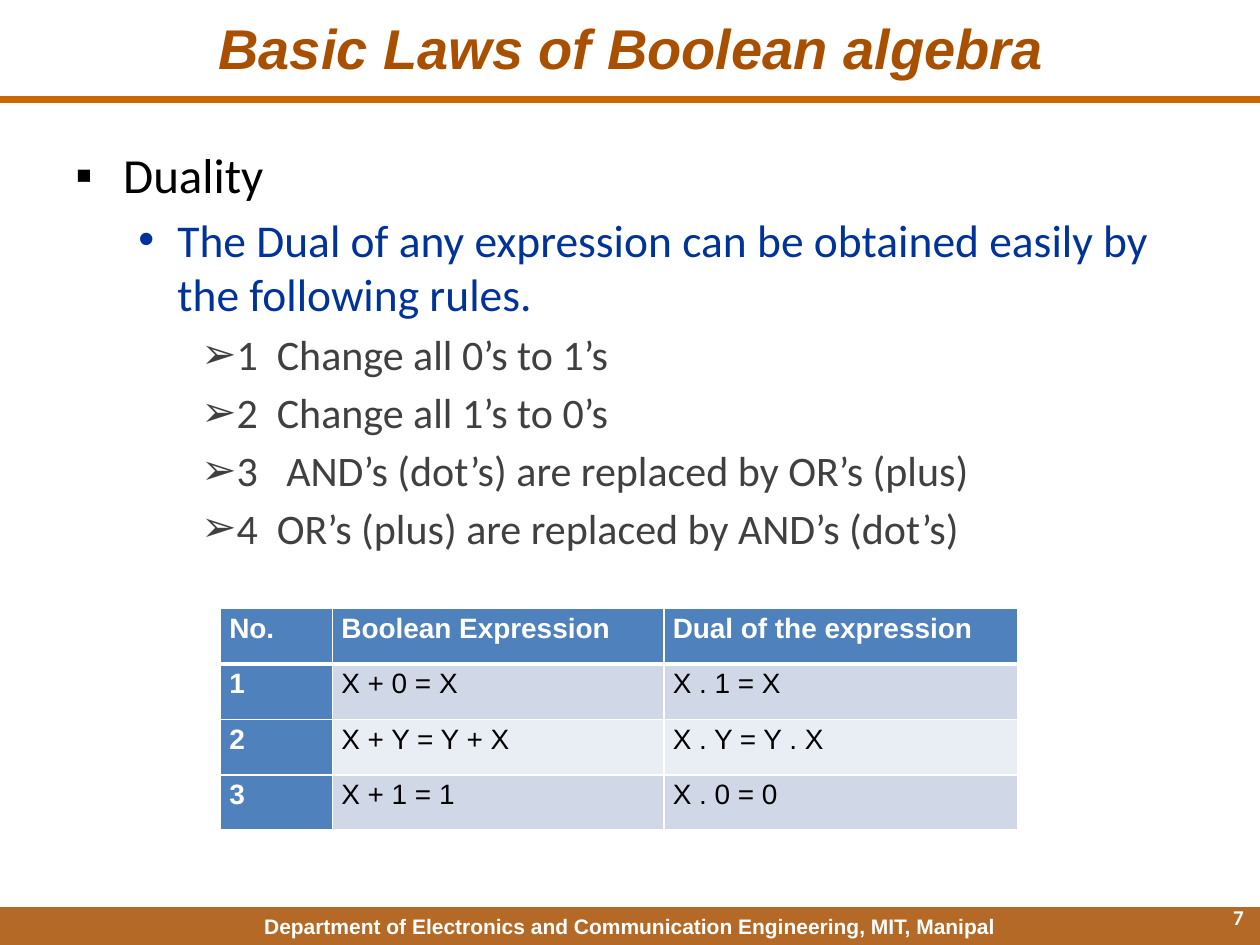
from lxml import etree
from pptx import Presentation
from pptx import util as u
from pptx.dml.color import RGBColor
from pptx.enum import shapes, text
from pptx.oxml.ns import qn

COLORS = {
    "rust": "A85000", "orange": "CC6600", "white": "FFFFFF", "black": "000000",
    "navy": "003399", "gray": "404040", "blue": "4F81BD",
    "band_dark": "D0D8E8", "band_light": "E9EDF4",
}
COLUMNS, ROWS = 100, 75

# size, colour, bullet, left margin and hanging indent in columns
LEVELS = [
    (28, "black", "▪", 3.8, 3.8),
    (26, "navy", "•", 8.1, 3.1),
    (24, "gray", "➢", 12.5, 2.5),
]
OUTLINE = [
    (0, "Duality"),
    (1, "The Dual of any expression can be obtained easily by the following rules."),
    (2, "1  Change all 0’s to 1’s"),
    (2, "2  Change all 1’s to 0’s"),
    (2, "3   AND’s (dot’s) are replaced by OR’s (plus)"),
    (2, "4  OR’s (plus) are replaced by AND’s (dot’s)"),
]
DUALS = [
    ("No.", "Boolean Expression", "Dual of the expression"),
    ("1", "X + 0 = X", "X . 1 = X"),
    ("2", "X + Y = Y + X", "X . Y = Y . X"),
    ("3", "X + 1 = 1", "X . 0 = 0"),
]


def rgb(name):
    return RGBColor.from_string(COLORS[name])


class SlideBuilder:
    """Places styled elements on a grid of COLUMNS by ROWS."""

    def __init__(self, deck):
        self.page = deck.slides.add_slide(deck.slide_layouts[5])
        self.column = deck.slide_width / COLUMNS
        self.row = deck.slide_height / ROWS

    def area(self, left, top, width, height):
        return (round(left * self.column), round(top * self.row),
                round(width * self.column), round(height * self.row))

    def style(self, para, size, color, font="Arial", bold=False, italic=False):
        for span in para.runs:
            span.font.name, span.font.size = font, u.Pt(size)
            span.font.bold, span.font.italic = bold, italic
            span.font.color.rgb = rgb(color)

    def title(self, words, *place):
        box = self.page.shapes.title
        box.left, box.top, box.width, box.height = self.area(*place)
        box.text_frame.text = words
        box.text_frame.vertical_anchor = text.MSO_ANCHOR.MIDDLE
        para = box.text_frame.paragraphs[0]
        para.alignment = text.PP_ALIGN.CENTER
        self.style(para, 32, "rust", bold=True, italic=True)

    def bar(self, color, opacity, *place):
        shape = self.page.shapes.add_shape(shapes.MSO_SHAPE.RECTANGLE, *self.area(*place))
        shape.shadow.inherit = False
        shape.fill.solid()
        shape.fill.fore_color.rgb = rgb(color)
        shape.line.fill.background()
        tint = shape.fill._xPr.find(qn("a:solidFill"))[0]
        etree.SubElement(tint, qn("a:alpha"), val=str(opacity * 1000))

    def rule(self, color, weight, top, width):
        left, y, length, _ = self.area(0, top, width, 0)
        line = self.page.shapes.add_connector(
            shapes.MSO_CONNECTOR.STRAIGHT, left, y, left + length, y)
        line.line.color.rgb, line.line.width = rgb(color), u.Pt(weight)
        etree.SubElement(line._element.spPr, qn("a:effectLst"))

    def text_box(self, *place):
        frame = self.page.shapes.add_textbox(*self.area(*place)).text_frame
        frame.word_wrap = True
        return frame

    def label(self, words, place, align, font="Arial", anchor=text.MSO_ANCHOR.TOP):
        frame = self.text_box(*place)
        frame.text = words
        frame.vertical_anchor = anchor
        para = frame.paragraphs[0]
        para.alignment = align
        self.style(para, 12, "white", font, bold=True)

    def outline(self, items, *place):
        frame = self.text_box(*place)
        for number, (level, words) in enumerate(items):
            para = frame.add_paragraph() if number else frame.paragraphs[0]
            size, color, bullet, margin, hang = LEVELS[level]
            para.text, para.level = words, level
            if number:
                para.space_before = u.Pt(round(size * 0.18, 1))
            props = para._p.get_or_add_pPr()
            props.set("marL", str(round(margin * self.column)))
            props.set("indent", str(-round(hang * self.column)))
            etree.SubElement(props, qn("a:buFont"), typeface="Arial")
            etree.SubElement(props, qn("a:buChar"), char=bullet)
            self.style(para, size, color, "Calibri")

    def table(self, data, widths, row_height, left, top):
        place = self.area(left, top, sum(widths), row_height * len(data))
        grid = self.page.shapes.add_table(len(data), len(widths), *place).table
        for column, width in zip(grid.columns, widths):
            column.width = round(width * self.column)
        for r, record in enumerate(data):
            for c, words in enumerate(record):
                heading = r == 0 or c == 0
                band = "band_dark" if r % 2 else "band_light"
                self.cell(grid.cell(r, c), words, heading,
                          "blue" if heading else band, 3 if r == 0 else 1)

    def cell(self, cell, words, heading, fill, bottom_weight):
        cell.margin_left = cell.margin_right = u.Inches(0.07)
        cell.margin_top = cell.margin_bottom = 0
        props = cell._tc.get_or_add_tcPr()
        for side in "LRTB":
            weight = bottom_weight if side == "B" else 1
            edge = etree.SubElement(props, qn(f"a:ln{side}"), w=str(u.Pt(weight)))
            paint = etree.SubElement(edge, qn("a:solidFill"))
            etree.SubElement(paint, qn("a:srgbClr"), val=COLORS["white"])
        cell.fill.solid()
        cell.fill.fore_color.rgb = rgb(fill)
        cell.text_frame.text = words
        para = cell.text_frame.paragraphs[0]
        para.alignment, para.line_spacing = text.PP_ALIGN.JUSTIFY, 1.15
        self.style(para, 16, "white" if heading else "black", bold=heading)


def main():
    deck = Presentation()
    deck.slide_width, deck.slide_height = u.Inches(10), u.Inches(7.5)
    slide = SlideBuilder(deck)

    # Footer band and heading rule
    footer = (0, 72, COLUMNS, 3)
    slide.bar("rust", 85, *footer)
    slide.label("Department of Electronics and Communication Engineering, MIT, Manipal",
                footer, text.PP_ALIGN.CENTER)
    slide.rule("orange", 4.5, 7.9, COLUMNS)

    # Title and outline
    slide.title("Basic Laws of Boolean algebra", 5.1, -0.8, 90, 9)
    slide.outline(OUTLINE, 5, 11, 90, 36)

    # Page number
    slide.label("7", (76.4, 70.8, 23.3, 4), text.PP_ALIGN.RIGHT, "Calibri",
                text.MSO_ANCHOR.MIDDLE)

    # Expressions and their duals
    slide.table(DUALS, (8.9, 26.3, 28.1), 4.4, 17.5, 48.3)

    deck.save("out.pptx")


if __name__ == "__main__":
    main()
